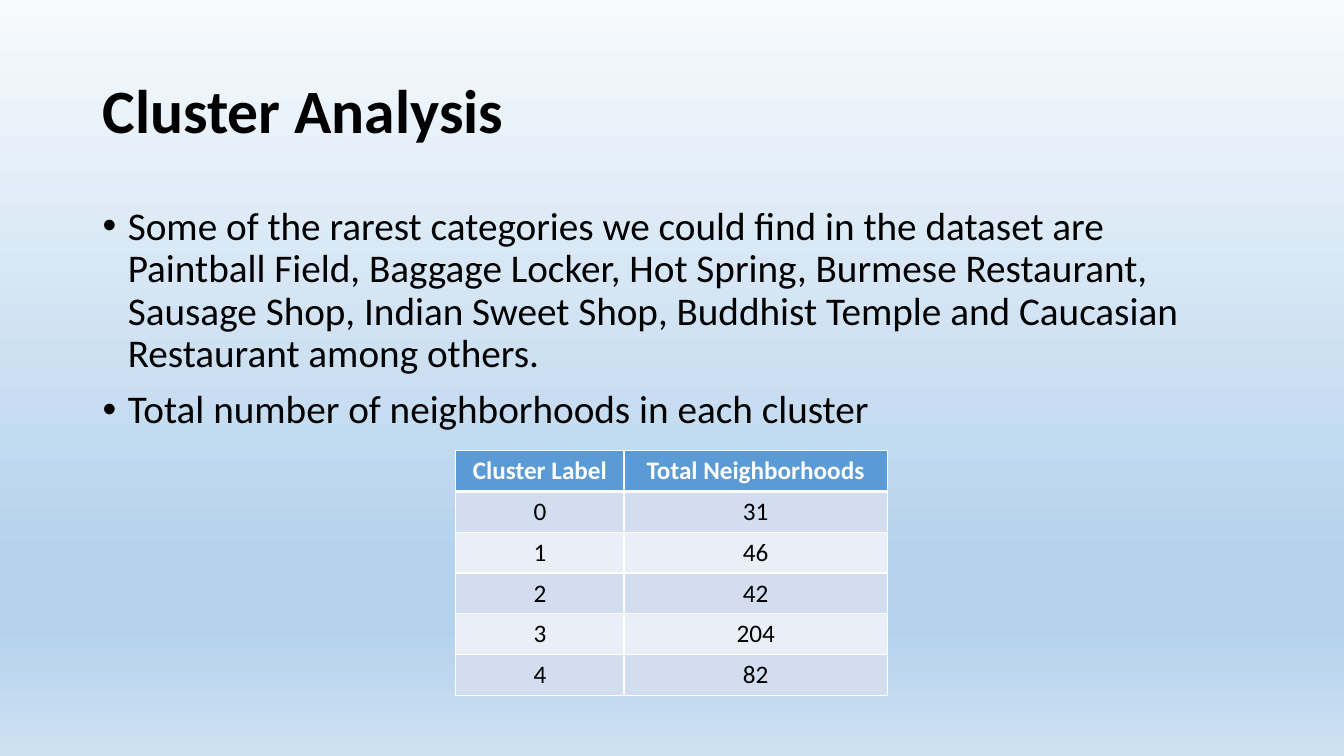
from lxml.etree import SubElement
from pptx import Presentation
from pptx.dml.color import RGBColor as Color
from pptx.enum.text import MSO_ANCHOR as Anchor, PP_ALIGN as Align
from pptx.oxml.ns import qn
from pptx.util import Inches, Pt

COLORS = {
    "text": "000000",
    "white": "FFFFFF",
    "header": "5B9BD5",
    "band_dark": "D2DEEF",
    "band_light": "EAEFF7",
}
BACKGROUND_STOPS = [(0, "F7FAFD"), (74, "B5D2EC"), (83, "B5D2EC"), (100, "CEE1F2")]

BULLETS = [
    "Some of the rarest categories we could find in the dataset are "
    "Paintball Field, Baggage Locker, Hot Spring, Burmese Restaurant, "
    "Sausage Shop, Indian Sweet Shop, Buddhist Temple and Caucasian "
    "Restaurant among others.",
    "Total number of neighborhoods in each cluster",
]
CLUSTER_ROWS = [
    ("Cluster Label", "Total Neighborhoods"),
    ("0", "31"),
    ("1", "46"),
    ("2", "42"),
    ("3", "204"),
    ("4", "82"),
]


class SlideBuilder:
    font_name = "Calibri"

    def __init__(self, page):
        self.page = page

    def background(self, stops):
        fill = self.page.background.fill
        fill.gradient()
        fill.gradient_angle = 270
        stop_list = next(self.page.element.iter(qn("a:gsLst")))
        stop_list.clear()
        for percent, color in stops:
            stop = SubElement(stop_list, qn("a:gs"), pos=str(percent * 1000))
            SubElement(stop, qn("a:srgbClr"), val=color)

    def add_span(self, para, text, size, color="text", bold=False, **para_format):
        for name, value in para_format.items():
            setattr(para, name, value)
        span = para.add_run()
        span.text = text
        font_format = {"name": self.font_name, "size": Pt(size), "bold": bold}
        for name, value in font_format.items():
            setattr(span.font, name, value)
        span.font.color.rgb = Color.from_string(COLORS[color])

    def bullet(self, para):
        props = para._p.get_or_add_pPr()
        props.set("marL", str(Inches(0.25)))
        props.set("indent", str(Inches(-0.25)))
        SubElement(props, qn("a:buFont"), typeface="Arial")
        SubElement(props, qn("a:buChar"), char="•")

    def text(self, place, lines, size, bold=False, bulleted=False, anchor=Anchor.TOP):
        box = self.page.shapes.add_textbox(*map(Inches, place))
        frame = box.text_frame
        for name, value in {"word_wrap": True, "vertical_anchor": anchor}.items():
            setattr(frame, name, value)
        for index, line in enumerate(lines):
            para = frame.add_paragraph() if index else frame.paragraphs[0]
            self.add_span(para, line, size, bold=bold, line_spacing=0.9,
                          space_before=Pt(10 if bulleted else 0))
            if bulleted:
                self.bullet(para)

    def borders(self, cell, widths):
        props = cell._tc.get_or_add_tcPr()
        for side, width in widths.items():
            line = SubElement(props, qn(f"a:ln{side}"), w=str(Pt(width)))
            fill = SubElement(line, qn("a:solidFill"))
            SubElement(fill, qn("a:srgbClr"), val=COLORS["white"])

    def table(self, place, rows, column_widths):
        frame = self.page.shapes.add_table(
            len(rows), len(column_widths), *map(Inches, place))
        table = frame.table
        for column, width in zip(table.columns, column_widths):
            column.width = Inches(width)
        for r, row in enumerate(rows):
            header = r == 0
            band = "header" if header else ("band_light", "band_dark")[r % 2]
            widths = {"L": 1, "R": 1, "T": 3 if r == 1 else 1, "B": 3 if header else 1}
            for c, value in enumerate(row):
                cell = table.cell(r, c)
                self.add_span(cell.text_frame.paragraphs[0], value, 18,
                              color="white" if header else "text",
                              bold=header, alignment=Align.CENTER)
                self.borders(cell, widths)
                cell.fill.solid()
                cell.fill.fore_color.rgb = Color.from_string(COLORS[band])


def main():
    deck = Presentation()
    deck.slide_width, deck.slide_height = Inches(13.33), Inches(7.5)
    builder = SlideBuilder(deck.slides.add_slide(deck.slide_layouts[6]))

    # Background
    builder.background(BACKGROUND_STOPS)

    # Title and bullets
    builder.text((0.92, 0.4, 11.5, 1.45), ["Cluster Analysis"], 44,
                 bold=True, anchor=Anchor.MIDDLE)
    builder.text((0.92, 2, 11.5, 4.76), BULLETS, 28, bulleted=True)

    # Neighborhoods per cluster
    builder.table((4.52, 4.47, 4.28, 2.43), CLUSTER_ROWS, (1.67, 2.61))

    deck.save("out.pptx")


if __name__ == "__main__":
    main()
